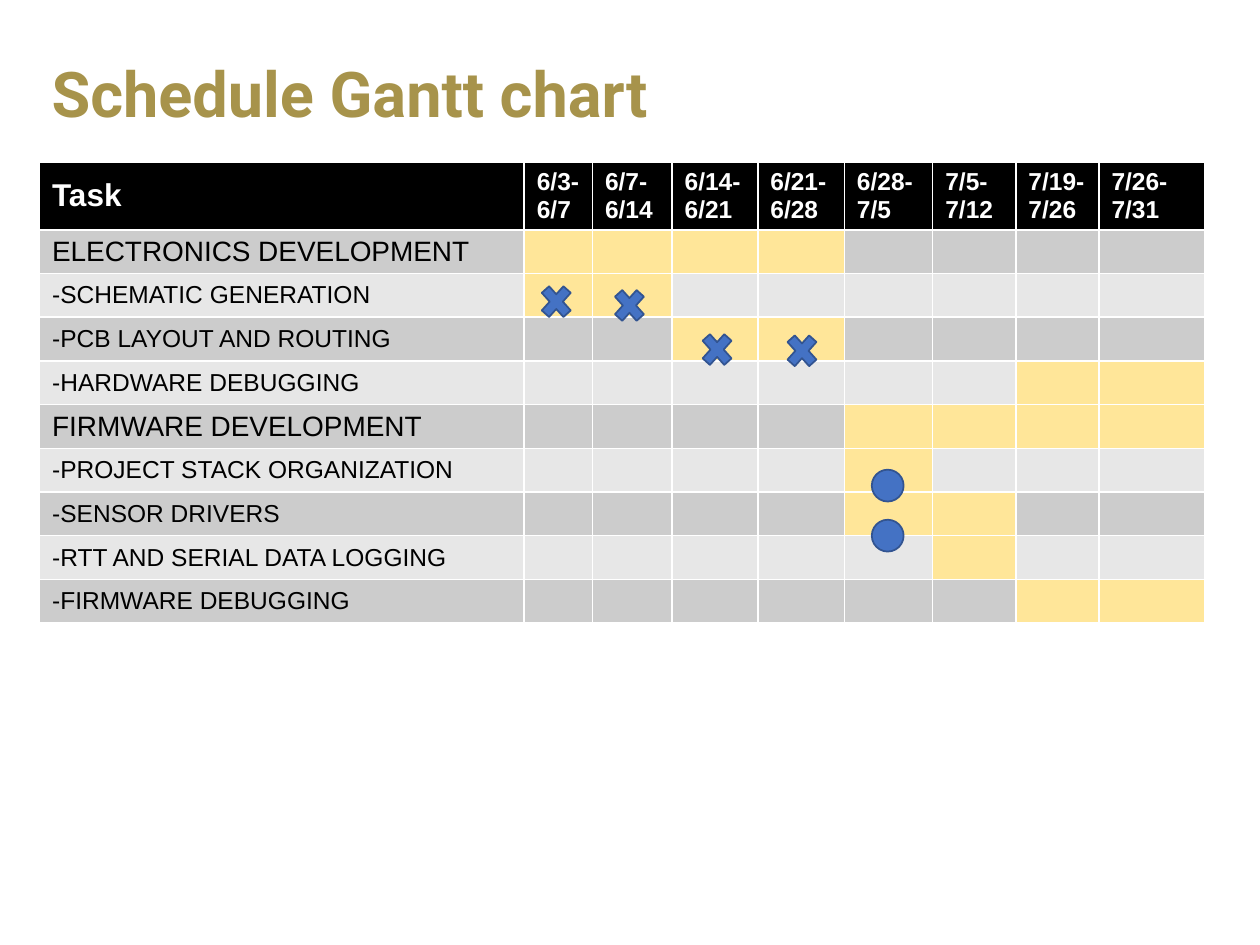
"""Build a project schedule slide with a Gantt table and progress markers."""
import pptx
import pptx.dml.color
import pptx.enum.shapes
import pptx.enum.text
import pptx.util

Pt = pptx.util.Pt
MSO_SHAPE = pptx.enum.shapes.MSO_SHAPE
MIDDLE = pptx.enum.text.MSO_ANCHOR.MIDDLE

HEADING = "Schedule Gantt chart"
PERIODS = ["6/3-6/7", "6/7-6/14", "6/14-6/21", "6/21-6/28",
           "6/28-7/5", "7/5-7/12", "7/19-7/26", "7/26-7/31"]
TASKS = [  # name, first and last active period
    ("ELECTRONICS DEVELOPMENT", 1, 4),
    ("-SCHEMATIC GENERATION", 1, 2),
    ("-PCB LAYOUT AND ROUTING", 3, 4),
    ("-HARDWARE DEBUGGING", 7, 8),
    ("FIRMWARE DEVELOPMENT", 5, 8),
    ("-PROJECT STACK ORGANIZATION", 5, 5),
    ("-SENSOR DRIVERS", 5, 6),
    ("-RTT AND SERIAL DATA LOGGING", 6, 6),
    ("-FIRMWARE DEBUGGING", 7, 8),
]
COLUMN_WIDTHS = [277, 39, 45.5, 49, 49.5, 50.5, 47.5, 47.5, 60.5]
HEADER_HEIGHT, TASK_HEIGHT = 38.7, 25
TABLE_LEFT, TABLE_TOP = 22.6, 92.6
BANDS = ["CCCCCC", "E7E7E7"]
ACTIVE = "FFE699"
MARKERS = [
    (MSO_SHAPE.MATH_MULTIPLY, 23.8, 26.6, [(306, 159.1), (347.8, 161.3), (397.9, 186.5), (446.4, 187.2)]),
    (MSO_SHAPE.OVAL, 18.2, 18.2, [(498.2, 268.4), (498.2, 297)]),
]


def rgb(value):
    return pptx.dml.color.RGBColor.from_string(value)


def paint(target, value):
    target.fill.solid()
    target.fill.fore_color.rgb = rgb(value)


def style(paragraph, size, color, bold, family="Arial"):
    for run in paragraph.runs:
        run.font.name = family
        run.font.size = Pt(size)
        run.font.bold = bold
        run.font.color.rgb = rgb(color)


def write_cell(cell, text, fill, size, color, bold):
    paint(cell, fill)
    cell.vertical_anchor = MIDDLE
    cell.margin_left = Pt(7.2)
    cell.margin_right = Pt(2)
    cell.margin_top = cell.margin_bottom = Pt(1.5)
    if text:
        cell.text_frame.text = text
        style(cell.text_frame.paragraphs[0], size, color, bold)


def add_heading(slide):
    title = slide.shapes.title
    title.left, title.top, title.width, title.height = Pt(22.3), Pt(15.8), Pt(675.4), Pt(79.9)
    title.text_frame.text = HEADING
    title.text_frame.vertical_anchor = MIDDLE
    paragraph = title.text_frame.paragraphs[0]
    paragraph.alignment = pptx.enum.text.PP_ALIGN.LEFT
    paragraph.line_spacing = 0.9
    style(paragraph, 36, "A7934B", True, "Roboto")


def add_schedule(slide):
    height = HEADER_HEIGHT + TASK_HEIGHT * len(TASKS)
    schedule = slide.shapes.add_table(
        len(TASKS) + 1, len(COLUMN_WIDTHS), Pt(TABLE_LEFT), Pt(TABLE_TOP),
        Pt(sum(COLUMN_WIDTHS)), Pt(height)).table
    for column, width in zip(schedule.columns, COLUMN_WIDTHS):
        column.width = Pt(width)
    for index, row in enumerate(schedule.rows):
        row.height = Pt(TASK_HEIGHT if index else HEADER_HEIGHT)
    for index, label in enumerate(["Task"] + PERIODS):
        write_cell(schedule.cell(0, index), label, "000000", 14 if index else 18, "FFFFFF", True)
    for index, (name, first, last) in enumerate(TASKS):
        band = BANDS[index % 2]
        size = 14 if name.startswith("-") else 16
        write_cell(schedule.cell(index + 1, 0), name, band, size, "000000", False)
        for period in range(1, len(PERIODS) + 1):
            fill = ACTIVE if first <= period <= last else band
            write_cell(schedule.cell(index + 1, period), "", fill, size, "000000", False)


def add_markers(slide):
    for kind, width, height, places in MARKERS:
        for left, top in places:
            marker = slide.shapes.add_shape(kind, Pt(left), Pt(top), Pt(width), Pt(height))
            marker.shadow.inherit = False
            paint(marker, "4472C4")
            marker.line.color.rgb = rgb("325491")
            marker.line.width = Pt(1)


def main():
    deck = pptx.Presentation()
    deck.slide_width, deck.slide_height = Pt(720), Pt(540)
    slide = deck.slides.add_slide(deck.slide_layouts[5])
    add_heading(slide)
    add_schedule(slide)
    add_markers(slide)
    deck.save("out.pptx")


if __name__ == "__main__":
    main()
